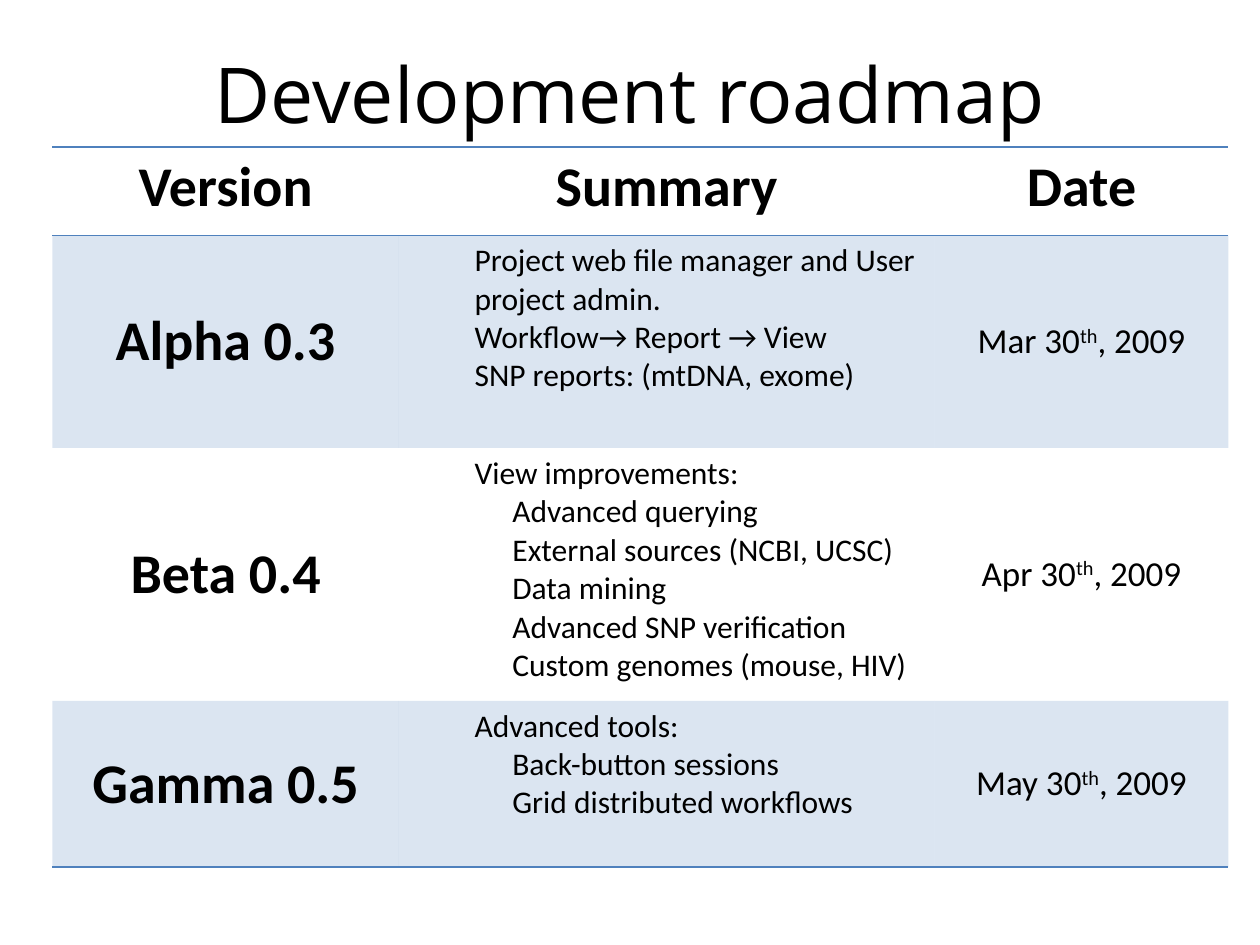
from lxml import etree
from pptx import Presentation
from pptx.dml.color import RGBColor
from pptx.enum.text import MSO_ANCHOR, PP_ALIGN
from pptx.oxml.ns import qn
from pptx.util import Pt

CENTER, LEFT = PP_ALIGN.CENTER, PP_ALIGN.LEFT
TOP, MIDDLE = MSO_ANCHOR.TOP, MSO_ANCHOR.MIDDLE
BLACK, BLUE = "000000", "4F81BD"
NO_STYLE = "{2D5ABB26-0587-4C30-8999-92F81FD0307C}"

# Content: version, summary lines as (indent step, text), month
TITLE = "Development roadmap"
HEADERS = ["Version", "Summary", "Date"]
RELEASES = [
    ("Alpha 0.3", [(0, "Project web file manager and User project admin. "),
                   (0, "Workflow→ Report → View "),
                   (0, "SNP reports: (mtDNA, exome)")], "Mar"),
    ("Beta 0.4", [(0, "View improvements:"),
                  (1, "Advanced querying "),
                  (1, "External sources (NCBI, UCSC)"),
                  (1, "Data mining"),
                  (1, "Advanced SNP verification"),
                  (1, "Custom genomes (mouse, HIV)")], "Apr"),
    ("Gamma 0.5", [(0, "Advanced tools:"),
                   (1, "Back-button sessions"),
                   (1, "Grid distributed workflows")], "May"),
]
COL_WIDTHS = [198, 306, 168]
ROW_HEIGHTS = [50.5, 121.5, 144.5, 95]
INDENTS = [36, 57.6]


def rgb(color):
    return RGBColor.from_string(color)


def style(r, size, bold=False, font="Calibri"):
    r.font.name, r.font.size, r.font.bold = font, Pt(size), bold
    r.font.color.rgb = rgb(BLACK)


def write(cell, lines, size, bold=False, align=CENTER, anchor=MIDDLE):
    """Each line is an indent in points and a list of run texts."""
    cell.vertical_anchor = anchor
    tf = cell.text_frame
    for i, (indent, texts) in enumerate(lines):
        p = tf.add_paragraph() if i else tf.paragraphs[0]
        p.alignment = align
        pPr = p._p.get_or_add_pPr()
        pPr.set("marL", str(Pt(indent)))
        pPr.set("indent", "0")
        for text in texts:
            r = p.add_run()
            r.text = text
            style(r, size, bold)
            if text == "th":
                r.font._element.set("baseline", "30000")


def add_border(cell, side):
    ln = etree.SubElement(cell._tc.get_or_add_tcPr(), qn("a:" + side), w=str(Pt(1)))
    fill = etree.SubElement(ln, qn("a:solidFill"))
    etree.SubElement(fill, qn("a:srgbClr"), val=BLUE)


def set_fill(cell, shaded):
    if not shaded:
        cell.fill.background()
        return
    cell.fill.solid()
    cell.fill.fore_color.rgb = rgb(BLUE)
    color = cell._tc.tcPr.find(qn("a:solidFill")).find(qn("a:srgbClr"))
    etree.SubElement(color, qn("a:alpha"), val="20000")


prs = Presentation()
prs.slide_width, prs.slide_height = Pt(720), Pt(540)
s = prs.slides.add_slide(prs.slide_layouts[5])

# Title
sp = s.shapes.title
sp.left, sp.top, sp.width, sp.height = Pt(42), Pt(23), Pt(636), Pt(60)
tf = sp.text_frame
tf.text = TITLE
tf.vertical_anchor = MIDDLE
tf.paragraphs[0].alignment = CENTER
style(tf.paragraphs[0].runs[0], 44, font="Open Sans")

# Table grid
frame = s.shapes.add_table(len(ROW_HEIGHTS), len(COL_WIDTHS), Pt(30), Pt(84),
                           Pt(sum(COL_WIDTHS)), Pt(sum(ROW_HEIGHTS)))
table = frame.table
table._tbl.tblPr.find(qn("a:tableStyleId")).text = NO_STYLE
for col, width in zip(table.columns, COL_WIDTHS):
    col.width = Pt(width)
for row, height in zip(table.rows, ROW_HEIGHTS):
    row.height = Pt(height)

# Header and release rows
for c, header in enumerate(HEADERS):
    write(table.cell(0, c), [(0, [header])], 32, bold=True, anchor=TOP)
for i, (version, summary, month) in enumerate(RELEASES, 1):
    write(table.cell(i, 0), [(0, [version])], 32, bold=True)
    write(table.cell(i, 1), [(INDENTS[step], [text]) for step, text in summary],
          18, align=LEFT, anchor=TOP)
    write(table.cell(i, 2), [(0, [month + " 30", "th", ", 2009"])], 20)

# Rules around the header and under the last row, shading on alternate rows
sides = {0: ["lnT", "lnB"], len(RELEASES): ["lnB"]}
for i in range(len(ROW_HEIGHTS)):
    for c in range(len(COL_WIDTHS)):
        cell = table.cell(i, c)
        for side in sides.get(i, []):
            add_border(cell, side)
        set_fill(cell, shaded=i % 2 == 1)

prs.save("out.pptx")
